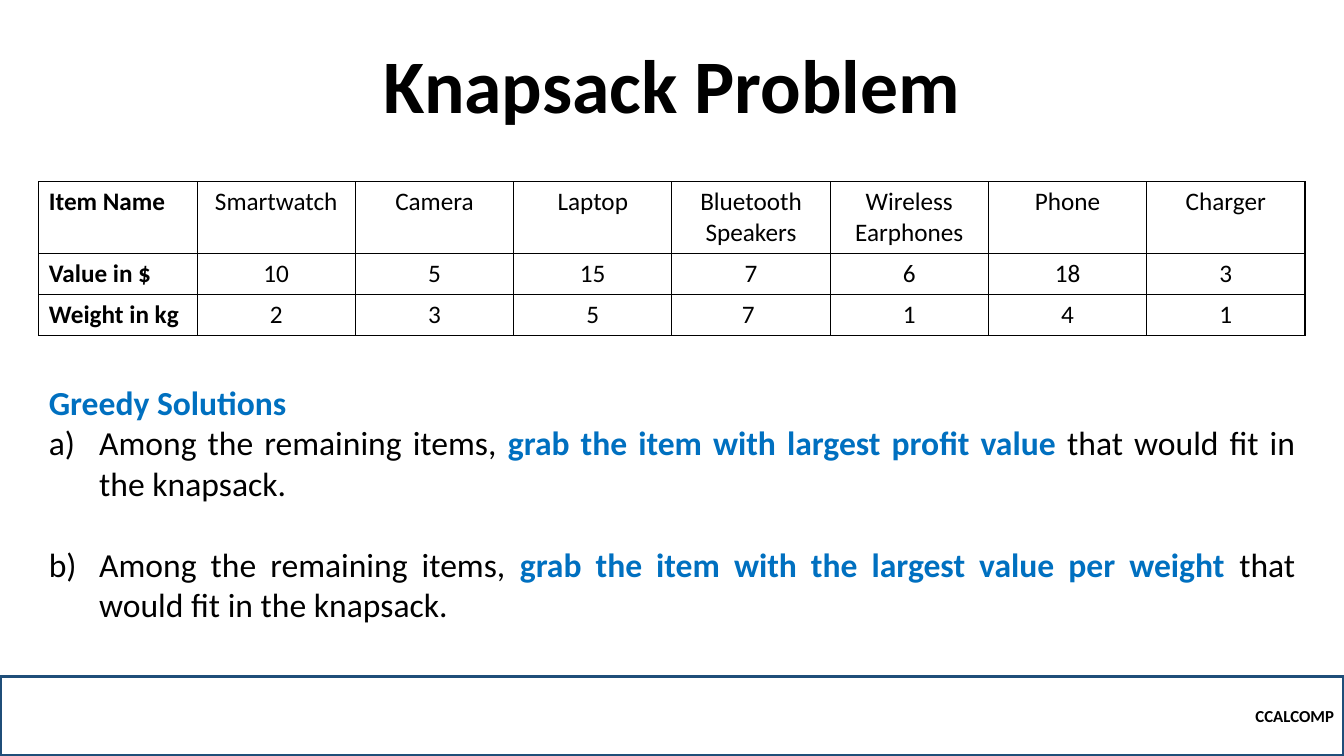
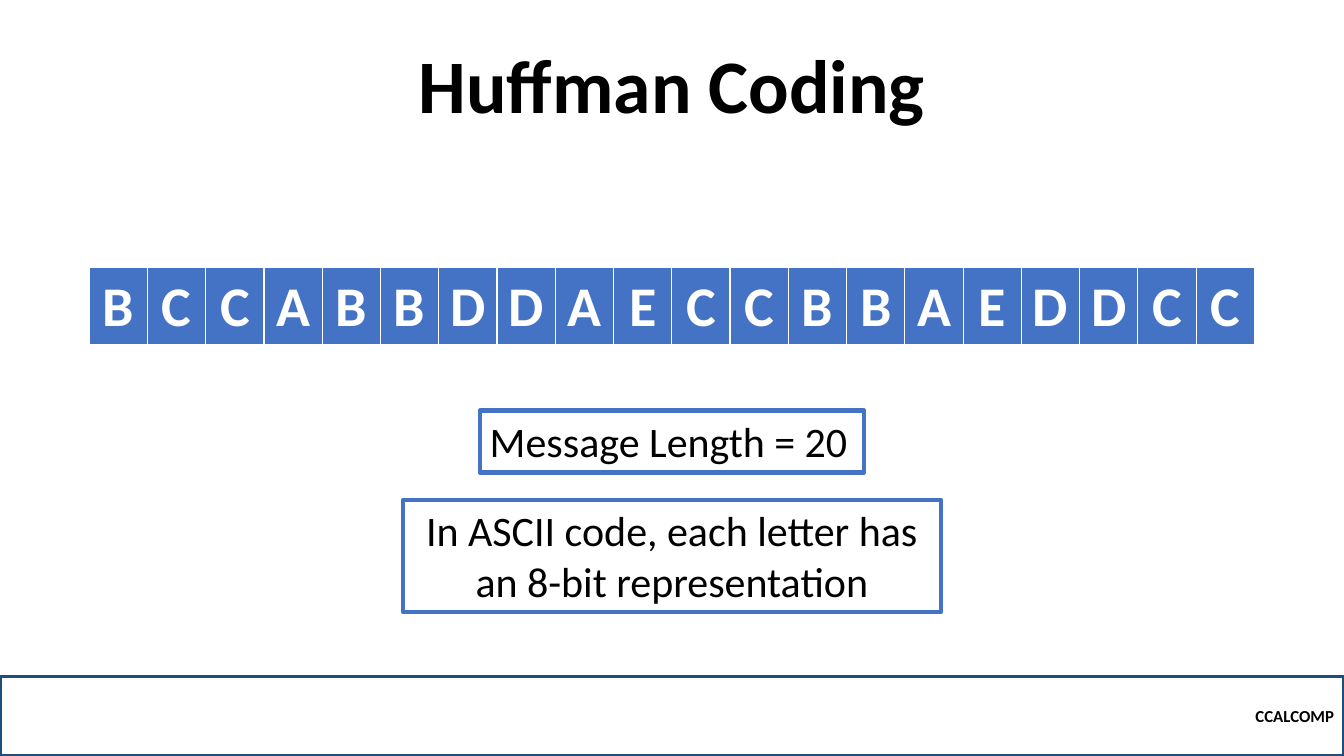
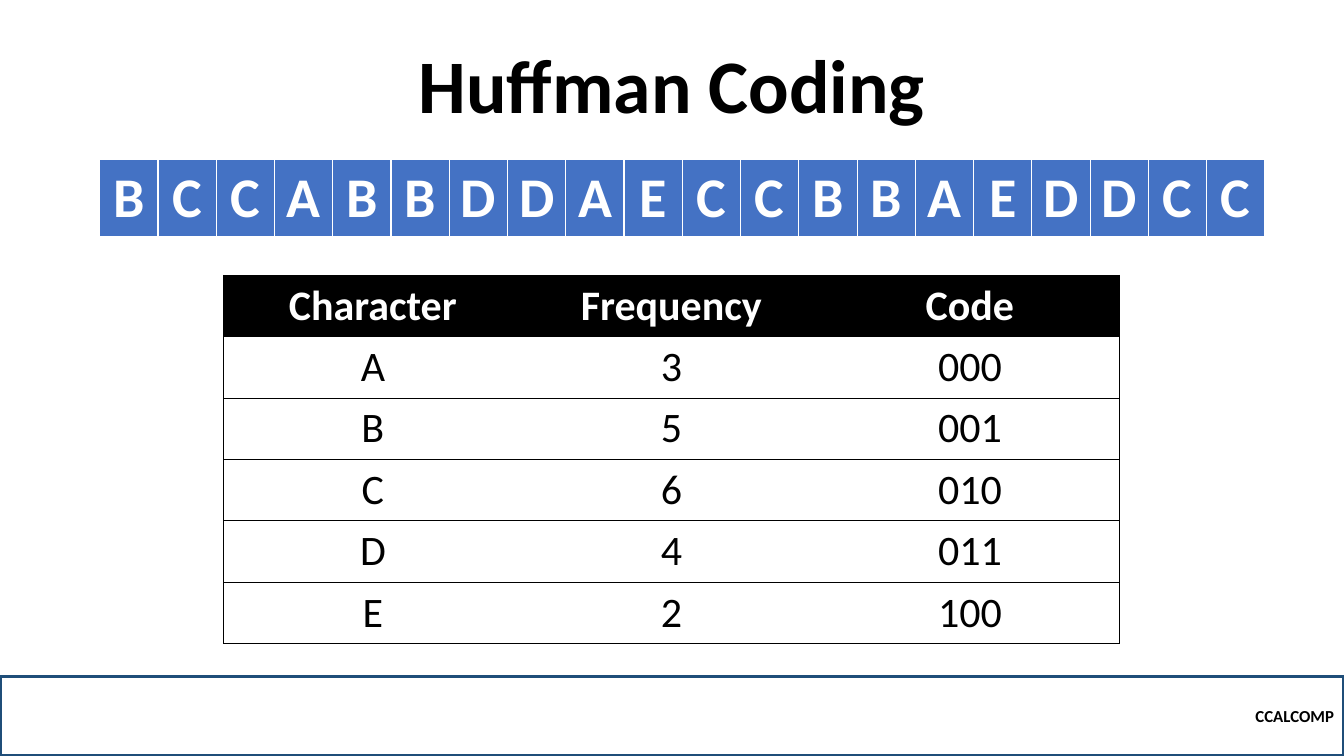
from lxml.etree import SubElement
from pptx import Presentation
from pptx.dml.color import RGBColor
from pptx.enum.shapes import MSO_SHAPE as Shape
from pptx.enum.text import MSO_ANCHOR as Anchor, MSO_AUTO_SIZE as AutoSize, PP_ALIGN as Align
from pptx.oxml.ns import qn
from pptx.util import Pt

# Shared scale, colours and font
PX = 9525
FONT = "Calibri"
BLACK, WHITE = "000000", "FFFFFF"
BLUE, NAVY, HIGHLIGHT = "4472C4", "1F4E79", "0070C0"
rgb = RGBColor.from_string


def style(paragraph, size, color=BLACK, bold=False, align=Align.CENTER):
    paragraph.alignment = align
    for run in paragraph.runs:
        run.font.name = FONT
        run.font.size = Pt(size)
        run.font.bold = bold
        run.font.color.rgb = rgb(color)


def add_grid(slide, box, rows, size, fill, line, widths, color=BLACK, bold=False, inner_verticals=True):
    """Add a table; widths gives the border points for left, right, top, bottom."""
    left, top, width, height = (length * PX for length in box)
    last_column = len(rows[0]) - 1
    table = slide.shapes.add_table(len(rows), len(rows[0]), left, top, width, height).table
    table.first_row = table.horz_banding = False
    for row_index, row in enumerate(rows):
        for column_index, text in enumerate(row):
            cell = table.cell(row_index, column_index)
            cell.text = text
            style(cell.text_frame.paragraphs[0], size, color, bold)
            hidden = set()
            if not inner_verticals:
                if column_index > 0:
                    hidden.add("L")
                if column_index < last_column:
                    hidden.add("R")
            properties = cell._tc.get_or_add_tcPr()
            for side, points in zip("LRTB", widths):
                border = SubElement(properties, qn(f"a:ln{side}"), w=str(Pt(points)))
                if side in hidden:
                    SubElement(border, qn("a:noFill"))
                else:
                    solid = SubElement(border, qn("a:solidFill"))
                    SubElement(solid, qn("a:srgbClr"), val=line)
            cell.fill.solid()
            cell.fill.fore_color.rgb = rgb(fill)
    return table


presentation = Presentation()
presentation.slide_width = 1280 * PX
presentation.slide_height = 720 * PX

# Title and footer band of every slide
slides = []
for title_text in ("Knapsack Problem", "Huffman Coding", "Huffman Coding"):
    slide = presentation.slides.add_slide(presentation.slide_layouts[5])
    slides.append(slide)

    title = slide.shapes.title
    title.left, title.top, title.width, title.height = 160 * PX, 52 * PX, 960 * PX, 76 * PX
    title.text_frame.text = title_text
    title.text_frame.auto_size = AutoSize.NONE
    title.text_frame.vertical_anchor = Anchor.BOTTOM
    title.text_frame.paragraphs[0].line_spacing = 0.9
    style(title.text_frame.paragraphs[0], 54, bold=True)

    footer = slide.shapes.add_shape(Shape.RECTANGLE, 0, 644 * PX, 1280 * PX, 76 * PX)
    footer.shadow.inherit = False
    footer.fill.background()
    footer.line.color.rgb = rgb(NAVY)
    footer.line.width = Pt(2.25)
    footer.text_frame.text = "CCALCOMP"
    style(footer.text_frame.paragraphs[0], 12, bold=True, align=Align.RIGHT)

knapsack_slide, message_slide, code_slide = slides

# Knapsack items
items = [
    ["Item Name", "Smartwatch", "Camera", "Laptop", "Bluetooth Speakers", "Wireless Earphones", "Phone", "Charger"],
    ["Value in $", "10", "5", "15", "7", "6", "18", "3"],
    ["Weight in kg", "2", "3", "5", "7 ", "1", "4", "1"],
]
item_table = add_grid(knapsack_slide, (37, 173, 1206, 146), items, 18, WHITE, BLACK, (1, 1, 1, 1))
for row, height in zip(item_table.rows, (68, 39, 39)):
    row.height = height * PX
    style(row.cells[0].text_frame.paragraphs[0], 18, bold=True, align=Align.LEFT)

# Greedy solutions, lettered a) and b)
solutions = [
    ("Among the remaining items, ", "grab the item with largest profit value ",
     "that would fit in the knapsack."),
    ("Among the remaining items, ", "grab the item with the largest value per weight",
     " that would fit in the knapsack."),
]
solution_box = knapsack_slide.shapes.add_textbox(37 * PX, 359 * PX, 1206 * PX, 242 * PX)
solution_frame = solution_box.text_frame
solution_frame.word_wrap = True
solution_frame.text = "Greedy Solutions"
style(solution_frame.paragraphs[0], 24, HIGHLIGHT, True, Align.JUSTIFY)
for index, parts in enumerate(solutions):
    paragraph = solution_frame.add_paragraph()
    for part in parts:
        paragraph.add_run().text = part
    style(paragraph, 24, align=Align.JUSTIFY)
    key_phrase = paragraph.runs[1].font
    key_phrase.bold = True
    key_phrase.color.rgb = rgb(HIGHLIGHT)
    paragraph.space_before = Pt(29 * index)
    properties = paragraph._p.get_or_add_pPr()
    properties.set("marL", str(48 * PX))
    properties.set("indent", str(-48 * PX))
    SubElement(properties, qn("a:buFont"), typeface="+mj-lt")
    SubElement(properties, qn("a:buAutoNum"), type="alphaLcParenR")

# Message strip on both Huffman slides
message = list("BCCABBDDAECCBBAEDDCC")
for slide, left, top in ((message_slide, 85, 255), (code_slide, 95, 152)):
    strip = add_grid(slide, (left, top, 1110, 74), [message], 40, BLUE, WHITE, (1, 1, 1, 3), WHITE, True)
    for cell in strip.iter_cells():
        cell.vertical_anchor = Anchor.MIDDLE

# Message facts
facts = [
    ("Message Length = 20", (457, 391, 366, 59), Align.LEFT),
    ("In ASCII code, each letter has an 8-bit representation", (384, 476, 512, 107), Align.CENTER),
]
for text, box, align in facts:
    fact = message_slide.shapes.add_shape(Shape.RECTANGLE, *(length * PX for length in box))
    fact.shadow.inherit = False
    fact.fill.solid()
    fact.fill.fore_color.rgb = rgb(WHITE)
    fact.line.color.rgb = rgb(BLUE)
    fact.line.width = Pt(3)
    fact.text_frame.word_wrap = True
    fact.text_frame.vertical_anchor = Anchor.TOP
    fact.text_frame.text = text
    style(fact.text_frame.paragraphs[0], 30, align=align)

# Character codes
codes = [
    ["Character", "Frequency", "Code"],
    ["A", "3", "000"],
    ["B", "5", "001"],
    ["C", "6", "010"],
    ["D", "4", "011"],
    ["E", "2", "100"],
]
code_table = add_grid(code_slide, (213, 262, 853, 351), codes, 30, WHITE, BLACK,
                      (0.5, 0.5, 0.5, 0.5), inner_verticals=False)
for cell in code_table.rows[0].cells:
    cell.fill.fore_color.rgb = rgb(BLACK)
    style(cell.text_frame.paragraphs[0], 30, WHITE, True)

presentation.save("out.pptx")
